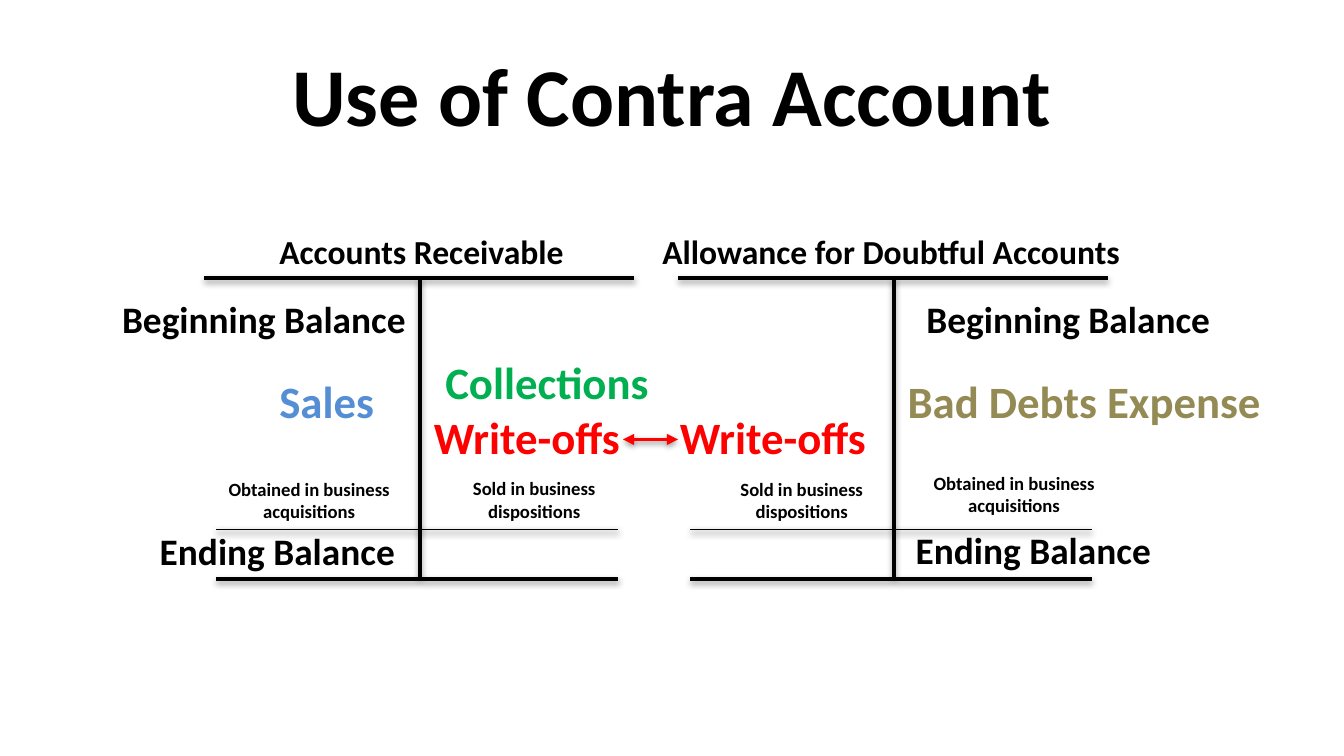
"""Build the slide that pairs two T-accounts through a contra account."""
from lxml.etree import SubElement
from pptx import Presentation
from pptx.dml.color import RGBColor
from pptx.enum.shapes import MSO_CONNECTOR
from pptx.enum.text import MSO_ANCHOR, MSO_AUTO_SIZE, PP_ALIGN
from pptx.oxml.ns import qn
from pptx.util import Pt

PX = 4572
FONT = "Calibri"
COLORS = {
    "black": "000000",
    "blue": "558ED5",
    "tan": "948A54",
    "green": "00B050",
    "red": "FF0000",
}


def add_line(shapes, start_x, start_y, end_x, end_y, width=2, color="black"):
    ends = [value * PX for value in (start_x, start_y, end_x, end_y)]
    connector = shapes.add_connector(MSO_CONNECTOR.STRAIGHT, *ends)
    connector.line.width = Pt(width)
    connector.line.color.rgb = RGBColor.from_string(COLORS[color])
    return connector


def add_label(shapes, text, box, size, color="black", wrap=True, align=PP_ALIGN.LEFT):
    label = shapes.add_textbox(*[value * PX for value in box])
    frame = label.text_frame
    frame.word_wrap = wrap
    frame.auto_size = MSO_AUTO_SIZE.SHAPE_TO_FIT_TEXT
    paragraph = frame.paragraphs[0]
    paragraph.alignment = align
    run = paragraph.add_run()
    run.text = text
    run.font.name = FONT
    run.font.size = Pt(size)
    run.font.bold = True
    run.font.color.rgb = RGBColor.from_string(COLORS[color])


presentation = Presentation()
presentation.slide_width = 2000 * PX
presentation.slide_height = 1125 * PX
slide = presentation.slides.add_slide(presentation.slide_layouts[5])

title = slide.shapes.title
title.left, title.top, title.width, title.height = 100 * PX, 45 * PX, 1800 * PX, 188 * PX
title.text_frame.vertical_anchor = MSO_ANCHOR.MIDDLE
title_paragraph = title.text_frame.paragraphs[0]
title_paragraph.alignment = PP_ALIGN.CENTER
title_run = title_paragraph.add_run()
title_run.text = "Use of Contra Account"
title_run.font.name = FONT
title_run.font.size = Pt(44)
title_run.font.bold = True
title_run.font.color.rgb = RGBColor.from_string(COLORS["black"])

accounts = [
    ("Accounts Receivable", 304, 396, 466),
    ("Allowance for Doubtful Accounts", 309 + 700, 966, 728),
]
for heading, left, heading_left, heading_width in accounts:
    account = slide.shapes.add_group_shape().shapes
    add_line(account, left, 414, left + 640, 414)
    add_line(account, left + 321, 414, left + 321, 858)
    add_line(account, left + 18, 788, left + 616, 788, width=1)
    add_line(account, left + 18, 862, left + 616, 862)
    add_label(account, heading, (heading_left, 334, heading_width, 80), 18, wrap=False)

entries = [
    ("Sales", (396, 546, 184, 100), 24, "blue", False),
    ("Bad Debts Expense", (1331, 546, 600, 100), 24, "tan", True),
    ("Ending Balance", (218, 776, 394, 88), 20, "black", False),
    ("Ending Balance", (1343, 774, 394, 88), 20, "black", False),
    ("Beginning Balance", (162, 431, 466, 88), 20, "black", False),
    ("Beginning Balance", (1359, 431, 466, 88), 20, "black", False),
    ("Collections", (643, 518, 366, 100), 24, "green", True),
]
for text, box, size, color, wrap in entries:
    add_label(slide.shapes, text, box, size, color, wrap)

business_notes = [
    ("Obtained in business acquisitions", 294, 701),
    ("Sold in business dispositions", 629, 700),
    ("Sold in business dispositions", 1027, 701),
    ("Obtained in business acquisitions", 1343, 692),
]
for text, left, top in business_notes:
    add_label(slide.shapes, text, (left, top, 332, 88), 10, align=PP_ALIGN.CENTER)

write_offs = slide.shapes.add_group_shape().shapes
for left in (626, 992):
    add_label(write_offs, "Write-offs", (left, 600, 332, 100), 24, "red")
arrow = add_line(write_offs, 927, 654, 1009, 654, color="red")
for end in ("a:headEnd", "a:tailEnd"):
    SubElement(arrow.line._get_or_add_ln(), qn(end), type="triangle")

presentation.save("out.pptx")
